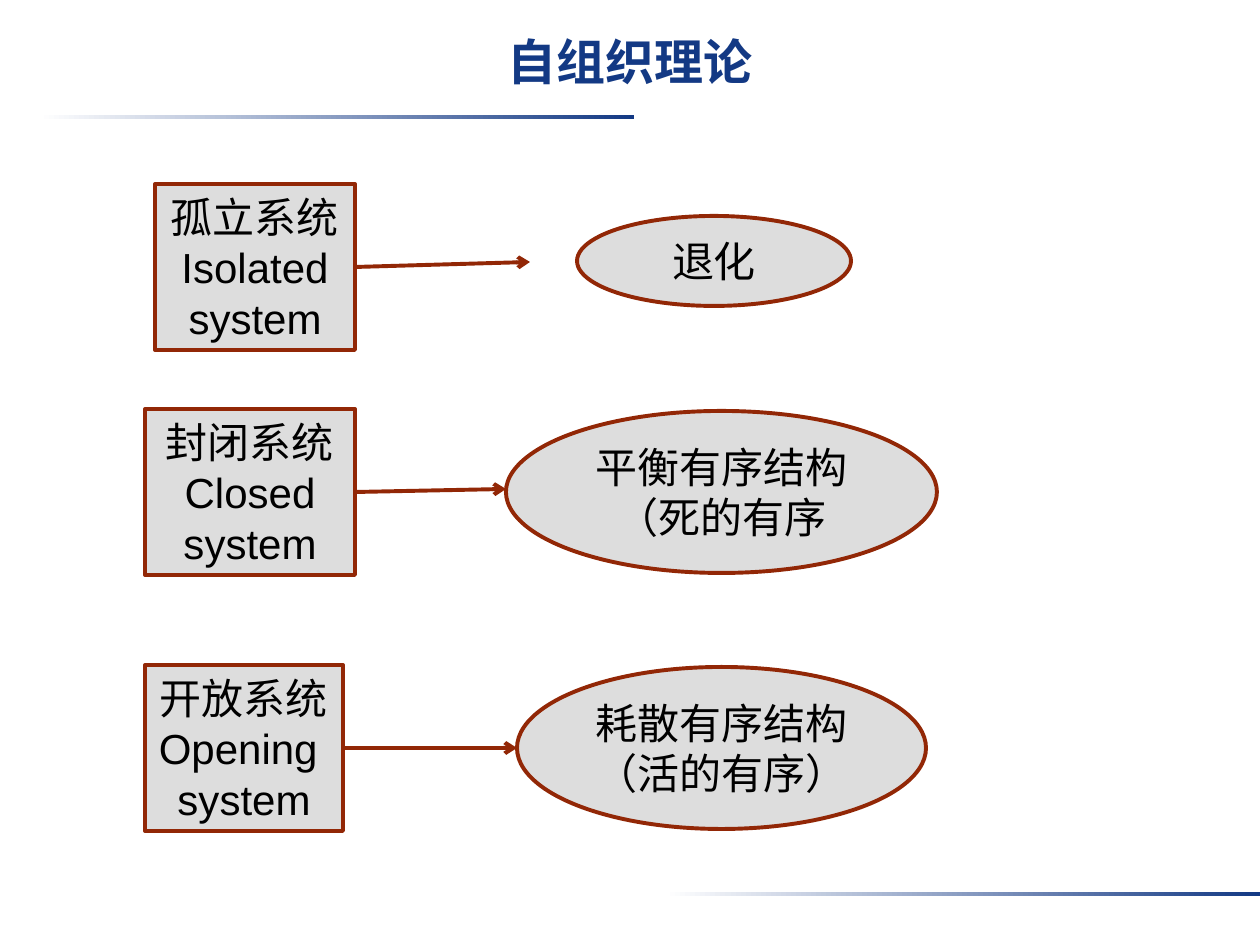
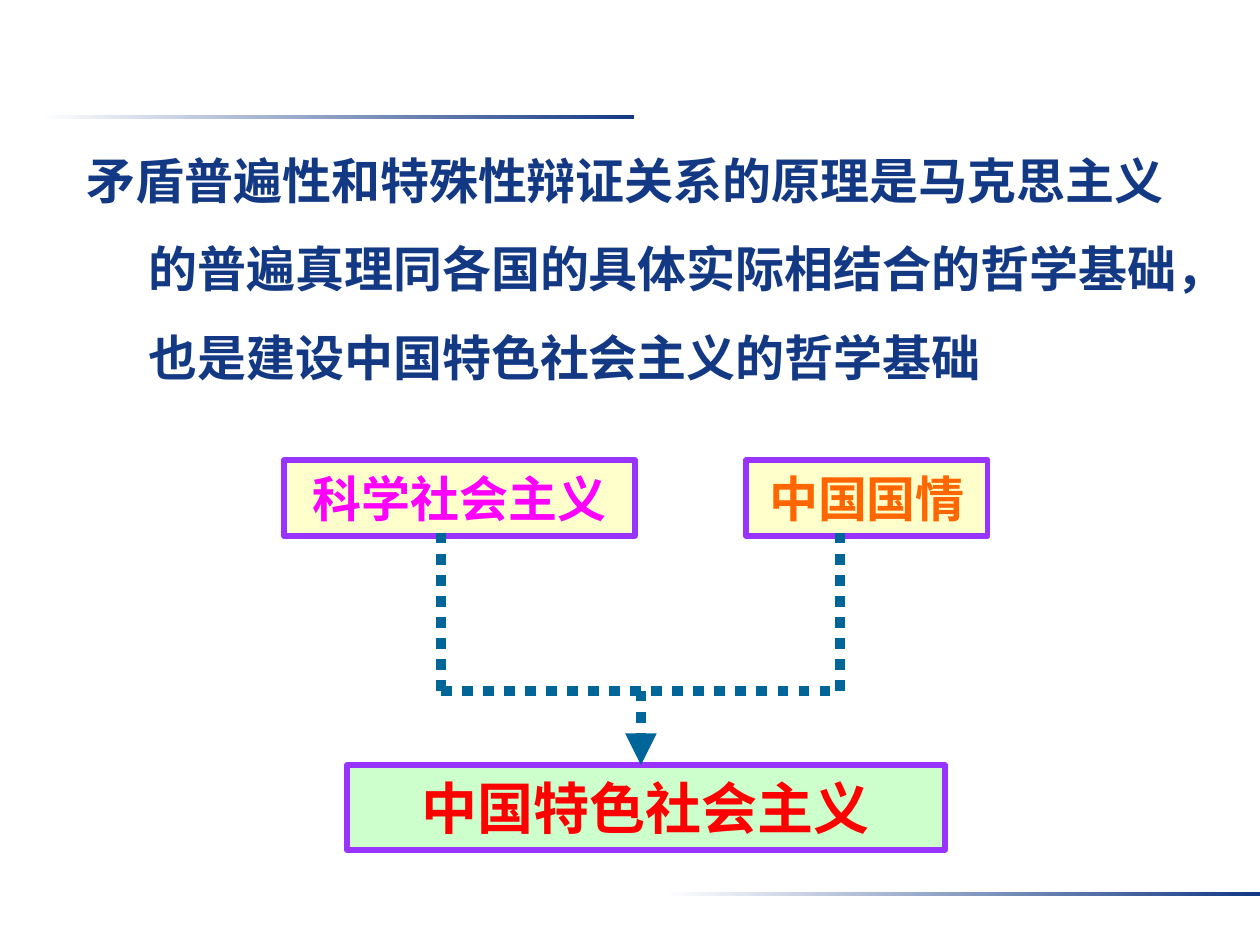
from lxml import etree
from pptx import Presentation
from pptx.dml.color import RGBColor
from pptx.enum.dml import MSO_LINE
from pptx.enum.shapes import MSO_CONNECTOR, MSO_SHAPE
from pptx.enum.text import MSO_ANCHOR, MSO_AUTO_SIZE, PP_ALIGN
from pptx.oxml.ns import qn
from pptx.util import Pt

RECT, OVAL = MSO_SHAPE.RECTANGLE, MSO_SHAPE.OVAL
STRAIGHT, DOTTED = MSO_CONNECTOR.STRAIGHT, MSO_LINE.ROUND_DOT
CENTER, LEFT = PP_ALIGN.CENTER, PP_ALIGN.LEFT
TOP, MIDDLE = MSO_ANCHOR.TOP, MSO_ANCHOR.MIDDLE
NO_FIT = MSO_AUTO_SIZE.NONE
TITLE_ONLY, TITLE_AND_BODY = 5, 1
RIGHT_SIDE = 3

# Shared look
SCALE = 914400 / 126
NAVY, WHITE, BLACK = "133984", "FFFFFF", "000000"
GREY, RUST, PURPLE, TEAL = "DDDDDD", "922706", "9933FF", "006699"
CREAM, MINT = "FFFFCC", "CCFFCC"
SANS, CJK, SERIF = "Arial", "Noto Sans CJK JP", "Times New Roman"
BANDS = [(39, 115, 595, 4), (665, 892, 595, 4)]

# Slide 1: system box, its outcome, and where the arrow ends
TITLE = "自组织理论"
SYSTEMS = [
    (["孤立系统", "Isolated system"], (155, 184, 200, 166),
     ["退化"], (577, 216, 274, 90), (530, 262)),
    (["封闭系统", "Closed system"], (145, 409, 210, 166),
     ["平衡有序结构", "（死的有序"], (506, 411, 431, 162), (506, 489)),
    (["开放系统", "Opening ", "system"], (145, 665, 198, 166),
     ["耗散有序结构", "（活的有序）"], (517, 667, 409, 162), (517, 748)),
]

# Slide 2: statement, boxes and the dotted bracket
STATEMENT = ("矛盾普遍性和特殊性辩证关系的原理是马克思主义的普遍真理同各国的具体实际相结合的"
             "哲学基础，也是建设中国特色社会主义的哲学基础")
BOXES = [
    ("科学社会主义", (284, 460, 351, 76), CREAM, "FF00FF", 28),
    ("中国国情", (746, 460, 242, 76), CREAM, "FF6600", 28),
    ("中国特色社会主义", (347, 765, 598, 85), MINT, "FF0000", 32),
]
BRACKET_LEFT, BRACKET_RIGHT, BRACKET_TOP, BRACKET_BASE = 441, 840, 533, 691
ARROW_X, ARROW_TIP = 641, 765


def px(*values):
    return [round(v * SCALE) for v in values]


def rgb(color):
    return RGBColor.from_string(color)


def write(sp, lines, size=24, font=SANS, color=BLACK, bold=False,
          align=CENTER, anchor=MIDDLE, wrap=True):
    tf = sp.text_frame
    tf.word_wrap, tf.auto_size, tf.vertical_anchor = wrap, NO_FIT, anchor
    for i, line in enumerate(lines):
        p = tf.add_paragraph() if i else tf.paragraphs[0]
        p.alignment = align
        r = p.add_run()
        r.text = line
        r.font.size, r.font.name, r.font.bold = Pt(size), font, bold
        r.font.color.rgb = rgb(color)
    return tf


def add_box(slide, kind, at, fill, line, width):
    sp = slide.shapes.add_shape(kind, *px(*at))
    sp.shadow.inherit = False
    sp.fill.solid()
    sp.fill.fore_color.rgb = rgb(fill)
    sp.line.color.rgb = rgb(line)
    sp.line.width = Pt(width)
    return sp


def add_line(slide, start, end, color, width, dash=None, head=None):
    line = slide.shapes.add_connector(STRAIGHT, *px(*start, *end))
    line.line.color.rgb = rgb(color)
    line.line.width = Pt(width)
    if dash:
        line.line.dash_style = dash
    if head:
        etree.SubElement(line.line._get_or_add_ln(), qn("a:tailEnd"), type=head)
    etree.SubElement(line._element.spPr, qn("a:effectLst"))
    return line


def place(sp, at):
    sp.left, sp.top, sp.width, sp.height = px(*at)


def add_slide(prs, layout):
    slide = prs.slides.add_slide(prs.slide_layouts[layout])
    for at in BANDS:
        sp = slide.shapes.add_shape(RECT, *px(*at))
        sp.shadow.inherit = False
        sp.line.fill.background()
        sp.fill.gradient()
        sp.fill.gradient_angle = 0
        for stop, color in zip(sp.fill.gradient_stops, (WHITE, NAVY)):
            stop.color.rgb = rgb(color)
    return slide


def build_systems(prs):
    slide = add_slide(prs, TITLE_ONLY)
    title = slide.shapes.title
    place(title, (0, 25, 1260, 95))
    write(title, [TITLE], size=28, color=NAVY, bold=True, anchor=TOP)
    for system, system_at, outcome, outcome_at, tip in SYSTEMS:
        box = add_box(slide, RECT, system_at, GREY, RUST, 2.25)
        write(box, system, wrap=len(system) < 3)
        oval = add_box(slide, OVAL, outcome_at, GREY, RUST, 2.25)
        write(oval, outcome)
        arrow = add_line(slide, tip, tip, RUST, 2.25, head="arrow")
        arrow.begin_connect(box, RIGHT_SIDE)


def build_foundation(prs):
    slide = add_slide(prs, TITLE_AND_BODY)
    title = slide.shapes.title
    title._element.getparent().remove(title._element)

    # Statement with a hanging indent
    body = slide.placeholders[1]
    place(body, (74, 115, 1121, 318))
    tf = write(body, [STATEMENT], size=28, font=CJK, color=NAVY, bold=True,
               align=LEFT, anchor=TOP)
    p = tf.paragraphs[0]
    p.line_spacing, p.space_before = 1.5, Pt(5.6)
    indent, = px(62)
    pPr = p._p.get_or_add_pPr()
    pPr.set("marL", str(indent))
    pPr.set("indent", str(-indent))
    etree.SubElement(pPr, qn("a:buNone"))

    for text, at, fill, color, size in BOXES:
        sp = add_box(slide, RECT, at, fill, PURPLE, 3)
        write(sp, [text], size=size, font=SERIF, color=color, bold=True)

    # Dotted bracket and its arrow
    add_line(slide, (BRACKET_LEFT, BRACKET_BASE), (BRACKET_RIGHT, BRACKET_BASE),
             TEAL, 6, DOTTED)
    for x in (BRACKET_LEFT, BRACKET_RIGHT):
        add_line(slide, (x, BRACKET_TOP), (x, BRACKET_BASE), TEAL, 6, DOTTED)
    add_line(slide, (ARROW_X, BRACKET_BASE), (ARROW_X, ARROW_TIP),
             TEAL, 6, DOTTED, "triangle")


def main():
    prs = Presentation()
    prs.slide_width, prs.slide_height = px(1260, 945)
    build_systems(prs)
    build_foundation(prs)
    prs.save("out.pptx")


if __name__ == "__main__":
    main()
